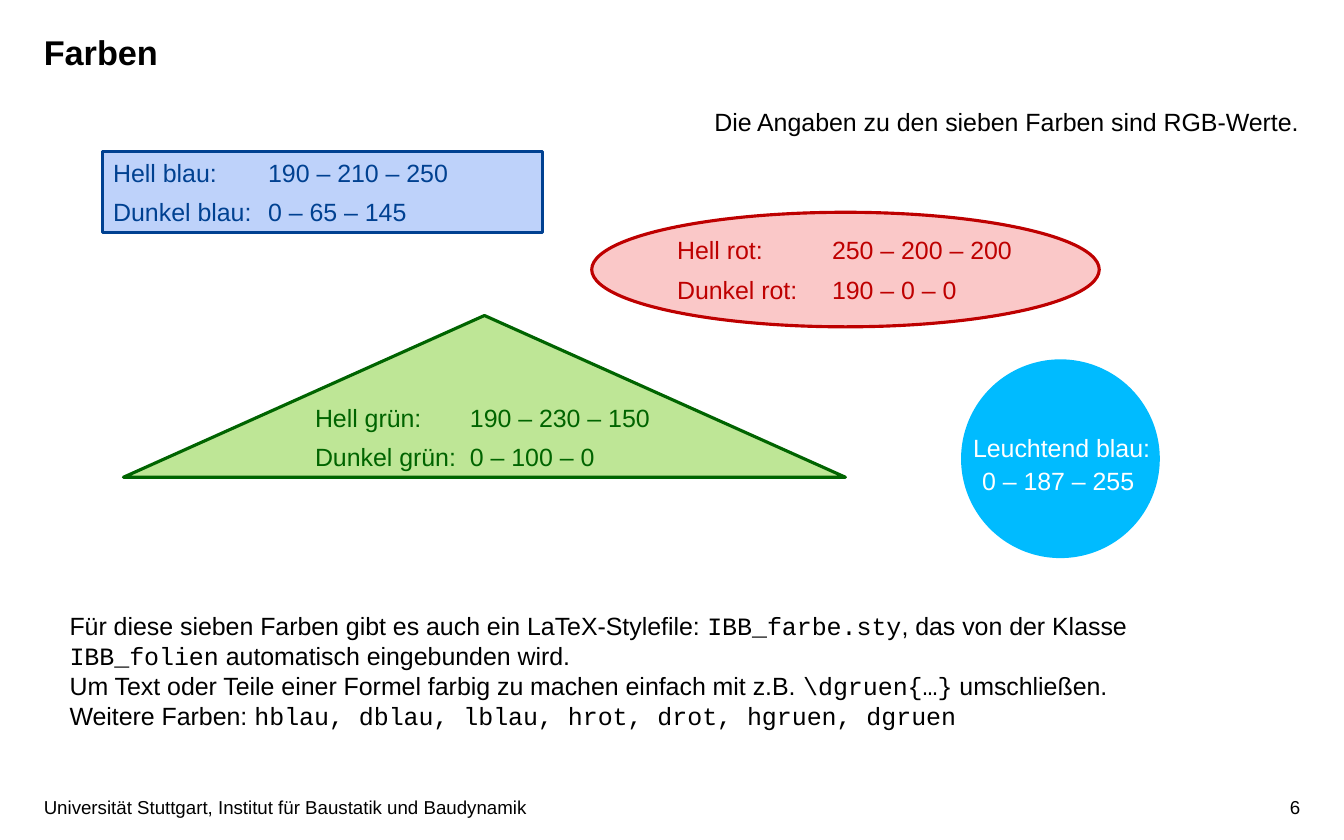
import pptx
import pptx.util
import pptx.dml.color
import pptx.enum.shapes
import pptx.enum.text
import pptx.oxml

PX = 9144  # 100 px to the inch
SANS, MONO = "Arial", "Courier New"
COLORS = {
    "black": "000000", "white": "FFFFFF", "lblau": "00BBFF",
    "hblau": "BED2FA", "dblau": "004191",
    "hrot": "FAC8C8", "drot": "BE0000",
    "hgruen": "BEE696", "dgruen": "006400",
}
KINDS = pptx.enum.shapes.MSO_SHAPE
ALIGN = pptx.enum.text.PP_ALIGN


def rgb(name):
    return pptx.dml.color.RGBColor.from_string(COLORS[name])


def emu(box):
    return [pptx.util.Emu(n * PX) for n in box]


def add_run(para, text, color="black", size=16, face=SANS, bold=False):
    run = para.add_run()
    run.text = text
    font = run.font
    font.name, font.size, font.bold = face, pptx.util.Pt(size), bold
    font.color.rgb = rgb(color)


def add_box(slide, box, align=ALIGN.LEFT):
    frame = slide.shapes.add_textbox(*emu(box)).text_frame
    frame.word_wrap = True
    frame.margin_left = frame.margin_right = 0
    frame.margin_top = frame.margin_bottom = 0
    frame.paragraphs[0].alignment = align
    return frame


def add_line(slide, box, text, align=ALIGN.LEFT, **style):
    add_run(add_box(slide, box, align).paragraphs[0], text, **style)


def add_form(slide, kind, box, fill, line=None):
    form = slide.shapes.add_shape(kind, *emu(box))
    form.shadow.inherit = False
    form.fill.solid()
    form.fill.fore_color.rgb = rgb(fill)
    if line:
        form.line.color.rgb = rgb(line)
        form.line.width = pptx.util.Pt(2)
    else:
        form.line.fill.background()
    return form


def add_pair(slide, kind, box, light, dark, rows):
    """Shape that names its light fill and dark line, values on a tab stop."""
    frame = add_form(slide, kind, box, light, dark).text_frame
    frame.word_wrap = True
    frame.vertical_anchor = pptx.enum.text.MSO_ANCHOR.MIDDLE
    for i, (label, value) in enumerate(rows):
        para = frame.add_paragraph() if i else frame.paragraphs[0]
        para.alignment = ALIGN.JUSTIFY
        para.space_after = pptx.util.Pt(6)
        props = para._p.get_or_add_pPr()
        props.append(pptx.oxml.parse_xml(
            '<a:tabLst xmlns:a="http://schemas.openxmlformats.org/drawingml/2006/main">'
            f'<a:tab pos="{138 * PX}" algn="l"/></a:tabLst>'))
        add_run(para, f"{label}:\t{value}", dark)


def add_disc(slide, box):
    left, top, width, height = box
    add_form(slide, KINDS.OVAL, box, "lblau")
    frame = add_box(slide, (left, top + 63, width + 2, 60), ALIGN.CENTER)
    para = frame.paragraphs[0]
    para.line_spacing = 1.1
    add_run(para, "Leuchtend blau:", "white")
    para.add_line_break()
    add_run(para, "0 – 187 – 255 ", "white")


def add_notes(slide, box):
    """Body text; each part is wording in one typeface."""
    paras = [
        [("Für diese sieben Farben gibt es auch ein LaTeX-Stylefile: ", SANS),
         ("IBB_farbe.sty", MONO), (", das von der Klasse ", SANS),
         ("IBB_folien", MONO), (" automatisch eingebunden wird.", SANS)],
        [("Um Text oder Teile einer Formel farbig zu machen einfach mit z.B. ", SANS),
         ("\\dgruen{…}", MONO), (" umschließen. Weitere Farben: ", SANS),
         ("hblau, dblau, lblau, hrot, drot, hgruen, dgruen", MONO)],
    ]
    frame = add_box(slide, box)
    for i, parts in enumerate(paras):
        para = frame.add_paragraph() if i else frame.paragraphs[0]
        for text, face in parts:
            add_run(para, text, face=face)


def add_foot(slide, box):
    left, top, width, height = box
    add_line(slide, (left, top, 500, height),
             "Universität Stuttgart, Institut für Baustatik und Baudynamik", size=12)
    add_line(slide, (left + width - 79, top, 79, height), "6", ALIGN.RIGHT, size=12)


def main():
    deck = pptx.Presentation()
    deck.slide_width, deck.slide_height = emu((1197, 748))
    slide = deck.slides.add_slide(deck.slide_layouts[6])

    # Title and remark
    add_line(slide, (39, 28, 945, 39), "Farben", size=22, bold=True)
    add_line(slide, (558, 95, 599, 27),
             "Die Angaben zu den sieben Farben sind RGB-Werte.", ALIGN.RIGHT)

    # Colour samples
    add_pair(slide, KINDS.ISOSCELES_TRIANGLE, (110, 281, 643, 144), "hgruen", "dgruen",
             [("Hell grün", "190 – 230 – 150"), ("Dunkel grün", "0 – 100 – 0")])
    add_pair(slide, KINDS.OVAL, (527, 189, 452, 102), "hrot", "drot",
             [("Hell rot", "250 – 200 – 200"), ("Dunkel rot", "190 – 0 – 0")])
    add_pair(slide, KINDS.RECTANGLE, (91, 135, 392, 72), "hblau", "dblau",
             [("Hell blau", "190 – 210 – 250"), ("Dunkel blau", "0 – 65 – 145")])
    add_disc(slide, (856, 320, 177, 177))

    # Body and footer
    add_notes(slide, (62, 544, 960, 108))
    add_foot(slide, (39, 709, 1119, 20))
    deck.save("out.pptx")


if __name__ == "__main__":
    main()
